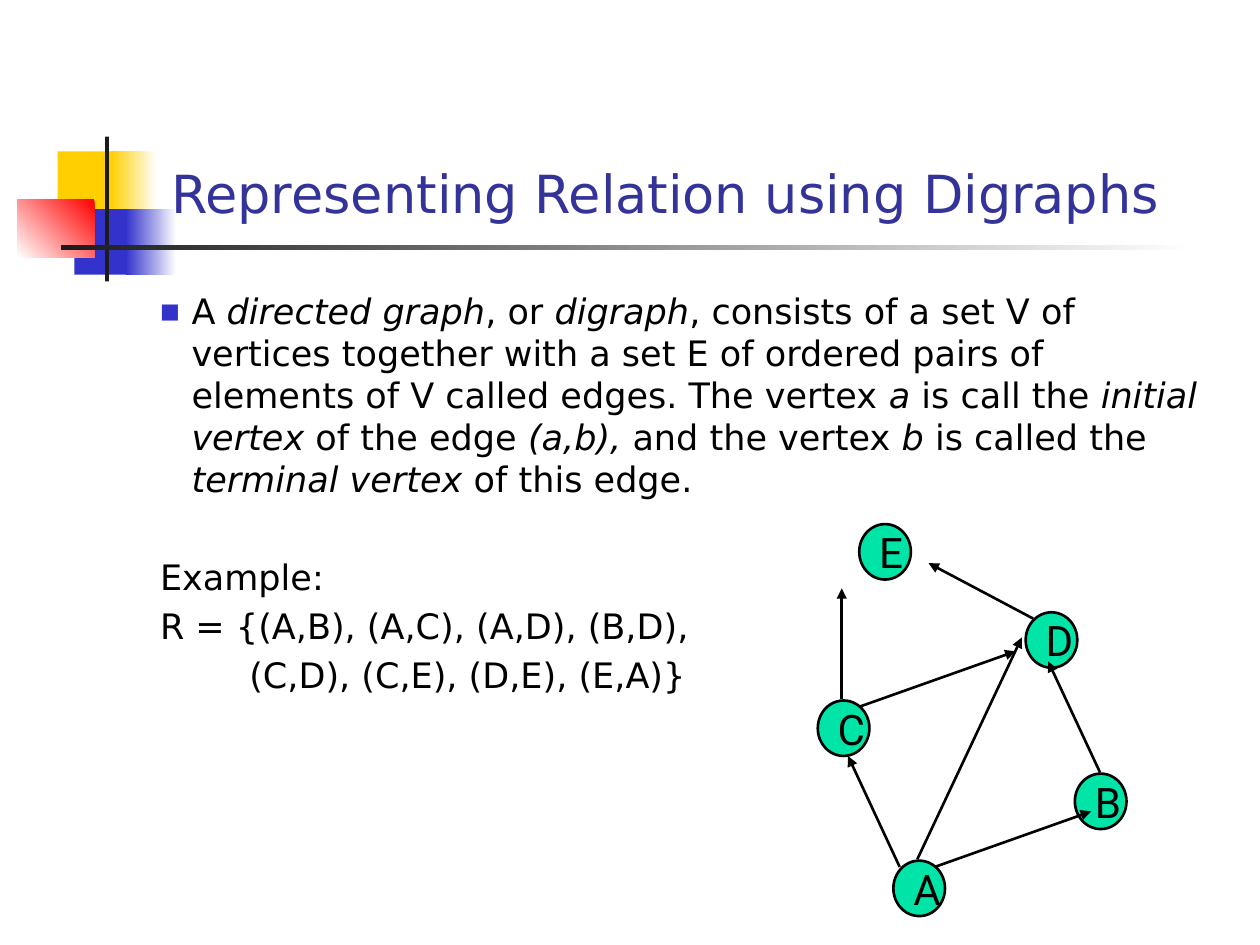
"""Build the slide that explains how a relation is drawn as a digraph."""
from lxml import etree
from pptx import Presentation
from pptx import util as u
from pptx.dml.color import RGBColor
from pptx.enum import shapes, text
from pptx.oxml.ns import qn

BLACK = RGBColor(0x00, 0x00, 0x00)
WHITE = RGBColor(0xFF, 0xFF, 0xFF)
YELLOW = RGBColor(0xFF, 0xCF, 0x01)
BLUE = RGBColor(0x33, 0x33, 0xCC)
RED = RGBColor(0xFF, 0x00, 0x00)
CHARCOAL = RGBColor(0x1C, 0x1C, 0x1C)
INDIGO = RGBColor(0x33, 0x33, 0x99)
GREEN = RGBColor(0x00, 0xE4, 0xA8)

TEXT_FONT, VERTEX_FONT = "DejaVu Sans", "Roboto"

HEADING = "Representing Relation using Digraphs"
DEFINITION = [
    ("A ", False), ("directed graph", True), (", or ", False), ("digraph", True),
    (", consists of a set V of vertices together with a set E of ordered pairs of "
     "elements of V called edges. The vertex ", False),
    ("a", True), (" is call the ", False), ("initial vertex", True),
    (" of the edge ", False), ("(a,b),", True), (" and the vertex ", False),
    ("b ", True), ("is called the ", False), ("terminal vertex", True),
    (" of this edge.", False),
]
BODY = [
    {"runs": DEFINITION, "left": 18, "hanging": 18, "before": 0, "bullet": "■"},
    {"runs": [("Example:", False)], "before": 31.5},
    {"runs": [("R = {(A,B), (A,C), (A,D), (B,D),", False)], "before": 4},
    {"runs": [("(C,D), (C,E), (D,E), (E,A)}", False)], "left": 51, "before": 4},
]

ORNAMENT = [
    ((33, 86.5, 34.5, 37.5), [YELLOW], 0),
    ((63.5, 86.5, 26, 37.5), [WHITE, YELLOW], 180),
    ((42.5, 119.5, 33, 37.5), [BLUE], 0),
    ((72, 119.5, 28.8, 37.5), [WHITE, BLUE], 180),
    ((10, 114, 44, 33), [RED, WHITE], 225),
    ((60, 78, 2.3, 82.8), [CHARCOAL], 0),
    ((34.75, 140.2, 648, 2.5), [WHITE, CHARCOAL], 180),
]

VERTEX_SIZE = (29.5, 31.7)
VERTICES = {
    "A": (510.5, 491.8), "C": (467.3, 400.3), "E": (491, 299.5),
    "B": (614.2, 442.1), "D": (586.1, 349.9),
}
EDGES = {
    "AC": (514.1, 495.4, 484.6, 432), "AB": (534.2, 495.4, 623.5, 463.7),
    "CE": (481, 399.6, 481, 336.2), "DE": (590.4, 353.5, 530.6, 321.8),
    "BD": (628.6, 441.4, 599, 378), "CD": (491, 403.9, 580.3, 372.2),
    "AD": (524.2, 491, 583.9, 364.3),
}


def points(values):
    return [u.Pt(value) for value in values]


def style(font, name, size, color):
    font.name, font.size = name, u.Pt(size)
    font.color.rgb = color


def place(placeholder, box, anchor):
    placeholder.left, placeholder.top, placeholder.width, placeholder.height = points(box)
    frame = placeholder.text_frame
    frame.word_wrap = True
    frame.auto_size = text.MSO_AUTO_SIZE.NONE
    frame.vertical_anchor = anchor
    return frame


def add_ornament(slide):
    for box, colors, angle in ORNAMENT:
        block = slide.shapes.add_shape(shapes.MSO_SHAPE.RECTANGLE, *points(box))
        block.shadow.inherit = False
        block.line.fill.background()
        if len(colors) == 1:
            block.fill.solid()
            block.fill.fore_color.rgb = colors[0]
            continue
        block.fill.gradient()
        block.fill.gradient_angle = angle
        for stop, color, position in zip(block.fill.gradient_stops, colors, (0, 1)):
            stop.color.rgb, stop.position = color, position


def set_bullet(paragraph, item):
    properties = paragraph._p.get_or_add_pPr()
    properties.set("marL", str(u.Pt(item.get("left", 0))))
    properties.set("indent", str(-u.Pt(item.get("hanging", 0))))
    if "bullet" not in item:
        etree.SubElement(properties, qn("a:buNone"))
        return
    color = etree.SubElement(properties, qn("a:buClr"))
    etree.SubElement(color, qn("a:srgbClr"), val=str(BLUE))
    etree.SubElement(properties, qn("a:buSzPct"), val="60000")
    etree.SubElement(properties, qn("a:buFont"), typeface=TEXT_FONT)
    etree.SubElement(properties, qn("a:buChar"), char=item["bullet"])


def fill_body(frame):
    for index, item in enumerate(BODY):
        paragraph = frame.add_paragraph() if index else frame.paragraphs[0]
        set_bullet(paragraph, item)
        paragraph.space_before = u.Pt(item["before"])
        style(paragraph.font, TEXT_FONT, 20, BLACK)
        for words, italic in item["runs"]:
            run = paragraph.add_run()
            run.text = words
            if italic:
                run.font.italic = True


def add_digraph(slide):
    digraph = slide.shapes.add_group_shape()
    for name, corner in VERTICES.items():
        vertex = digraph.shapes.add_shape(
            shapes.MSO_SHAPE.OVAL, *points(corner + VERTEX_SIZE))
        vertex.shadow.inherit = False
        vertex.fill.solid()
        vertex.fill.fore_color.rgb = GREEN
        vertex.line.color.rgb, vertex.line.width = BLACK, u.Pt(1.5)
        label = vertex.text_frame.paragraphs[0]
        label.text, label.alignment = name, text.PP_ALIGN.CENTER
        style(label.font, VERTEX_FONT, 24, BLACK)
    for ends in EDGES.values():
        edge = digraph.shapes.add_connector(shapes.MSO_CONNECTOR.STRAIGHT, *points(ends))
        edge.line.color.rgb, edge.line.width = BLACK, u.Pt(1.5)
        etree.SubElement(edge.line._get_or_add_ln(), qn("a:tailEnd"), type="triangle")
        etree.SubElement(edge.element.spPr, qn("a:effectLst"))


def main():
    deck = Presentation()
    deck.slide_width, deck.slide_height = u.Pt(720), u.Pt(540)
    slide = deck.slides.add_slide(deck.slide_layouts[1])
    title, body = slide.shapes.title, slide.placeholders[1]

    add_ornament(slide)
    for placeholder in (title, body):
        slide.shapes.element.append(placeholder.element)

    heading = place(title, (90.7, 16.5, 613.5, 115.2), text.MSO_ANCHOR.BOTTOM).paragraphs[0]
    heading.text, heading.alignment = HEADING, text.PP_ALIGN.LEFT
    style(heading.font, TEXT_FONT, 30, INDIGO)

    fill_body(place(body, (84.25, 162, 612, 324), text.MSO_ANCHOR.TOP))
    add_digraph(slide)
    deck.save("out.pptx")


if __name__ == "__main__":
    main()
